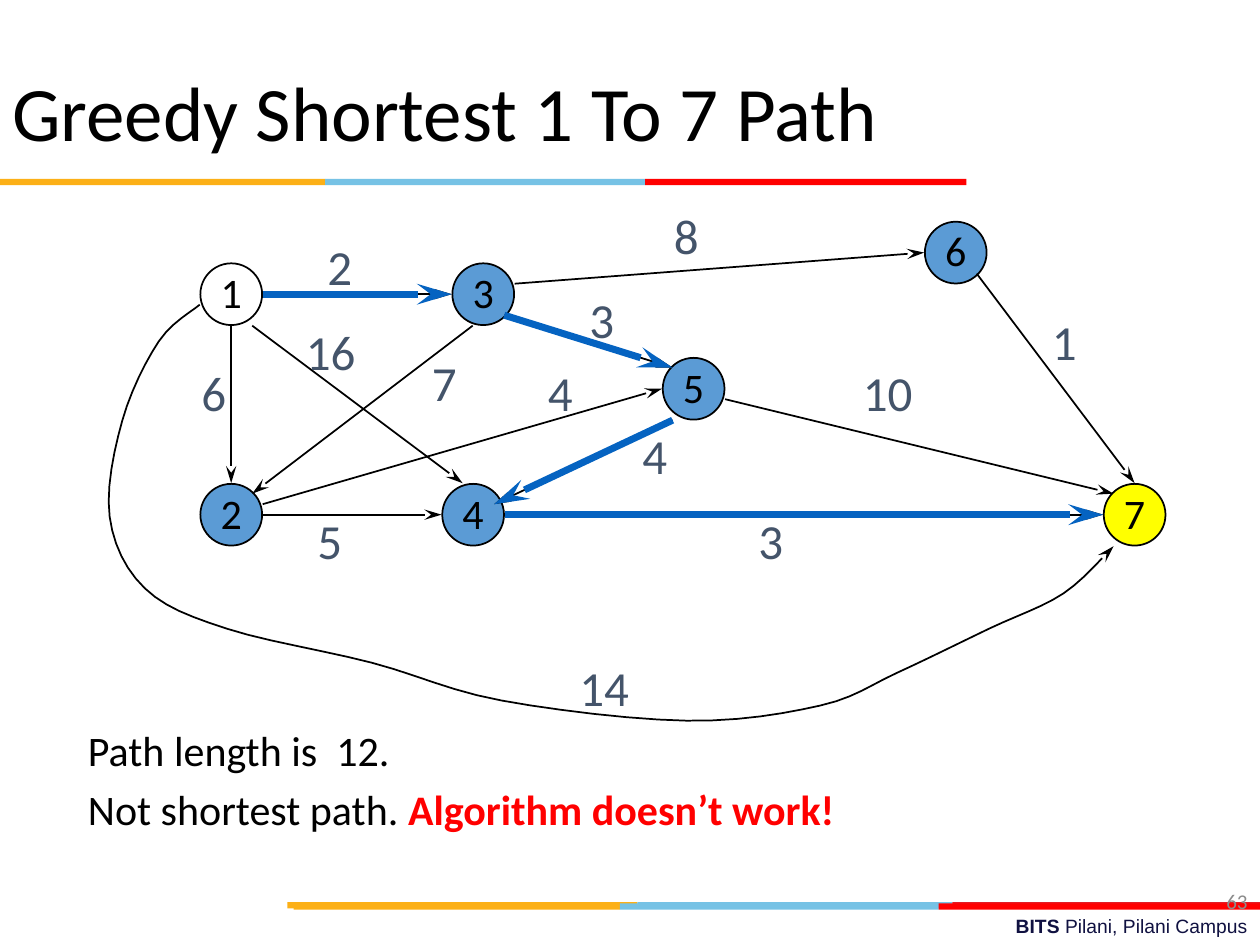
import pptx
import pptx.util
import pptx.enum.shapes
import pptx.enum.text
import pptx.dml.color
import pptx.oxml.ns
import lxml.etree

Inches = pptx.util.Inches
Pt = pptx.util.Pt
SHAPE = pptx.enum.shapes.MSO_SHAPE
ALIGN = pptx.enum.text.PP_ALIGN
ANCHOR = pptx.enum.text.MSO_ANCHOR

COLORS = {
    "black": "000000", "white": "FFFFFF", "node": "5B9BD5", "goal": "FFFF00",
    "path": "0563C1", "weight": "44546A", "gold": "FCB017", "sky": "76C2E5",
    "red": "FF0000", "brick": "E31C24", "navy": "101141", "gray": "8C8C8C",
}

# Left and top of each node; all but the first and the last share one fill
NODES = {
    "1": (1.59, 2.09), "2": (1.59, 3.84), "3": (3.59, 2.09), "4": (3.51, 3.84),
    "5": (5.26, 2.84), "6": (7.34, 1.76), "7": (8.76, 3.84),
}
FILLS = {"1": "white", "7": "goal"}

# Ports where edges meet a node: grid steps right and down from its centre
GRID = 1 / 12
PORTS = {
    "N": (0, -3), "E": (3, 0), "S": (0, 3), "W": (-3, 0),
    "NE": (2, -2), "SE": (2, 2), "NW": (-2, -2), "SW": (-2, 3),
    "ENE": (3, -1), "ESE": (3, 1), "WSW": (-3, 1),
    "SSE": (2, 3), "SSW": (-1, 3), "NNW": (-1, -3), "inner E": (2, -1),
}

# Edges: from node and port, to node and port, weight, left and top of the weight
EDGES = [
    ("6", "SE", "7", "N", "1", 8.25, 2.42),
    ("3", "ENE", "6", "W", "8", 5.25, 1.58),
    ("1", "S", "2", "N", "6", 1.5, 2.83),
    ("2", "E", "4", "W", "5", 2.42, 4),
    ("1", "SSE", "4", "NNW", "16", 2.33, 2.5),
    ("3", "SSW", "2", "NE", "7", 3.33, 2.75),
    ("2", "ENE", "5", "W", "4", 4.25, 2.83),
    ("5", "ESE", "7", "NW", "10", 6.75, 2.83),
]
GREEDY = [
    ("1", "E", "3", "W", "2", 2.5, 1.83),
    ("3", "SE", "5", "NW", "3", 4.58, 2.25),
    ("5", "SW", "4", "inner E", "4", 5, 3.33),
    ("4", "E", "7", "W", "3", 5.92, 4),
]

# The detour from node 1 to node 7 bends smoothly through these points
BENDS = [
    (1.26, 2.71), (0.97, 3.34), (0.87, 4.1), (1.15, 4.67), (1.8, 4.99), (2.95, 5.26),
    (3.98, 5.56), (5.45, 5.72), (6.51, 5.6), (7.12, 5.34), (7.85, 4.99), (8.44, 4.71),
]


def tint(name):
    return pptx.dml.color.RGBColor.from_string(COLORS[name])


def port(node, side):
    """Point on the rim of a node."""
    return tuple(corner + Board.node / 2 + step * GRID
                 for corner, step in zip(NODES[node], PORTS[side]))


def smooth(points, steps=6):
    """Points of a Catmull-Rom curve that passes through all the given points."""
    ends = [points[0], *points, points[-1]]
    curve = [points[0]]
    for quad in zip(ends, ends[1:], ends[2:], ends[3:]):
        for step in range(1, steps + 1):
            t = step / steps
            curve.append(tuple(
                b + t * (c - a) / 2
                + t ** 2 * (2 * a - 5 * b + 4 * c - d) / 2
                + t ** 3 * (3 * b - a - 3 * c + d) / 2
                for a, b, c, d in zip(*quad)))
    return curve


def write(frame, *paras, size=24, font="Calibri", color="black", align=ALIGN.LEFT,
          anchor=ANCHOR.TOP, space=0, lead=None):
    """Fill a frame; a paragraph is a list of (text, extra run format) pairs."""
    frame.word_wrap = True
    frame.vertical_anchor = anchor
    for i, runs in enumerate(paras):
        para = frame.add_paragraph() if i else frame.paragraphs[0]
        para.alignment = align
        para.line_spacing = lead
        para.space_before = Pt(space if i else 0)
        for text, extra in runs:
            run = para.add_run()
            run.text = text
            run.font.size = Pt(size)
            run.font.name = font
            run.font.bold = extra.get("bold", False)
            run.font.color.rgb = tint(extra.get("color", color))


class Board:
    """Holds the current slide and the style of its parts."""

    node, bar, thin, thick = 0.49, 0.05, 1, 4

    def __init__(self, slide):
        self.shapes = slide.shapes

    def text(self, left, top, width, height, *paras, **style):
        box = self.shapes.add_textbox(*map(Inches, (left, top, width, height)))
        write(box.text_frame, *paras, **style)

    def shape(self, kind, left, top, width, height, fill):
        item = self.shapes.add_shape(kind, *map(Inches, (left, top, width, height)))
        item.shadow.inherit = False
        item.fill.solid()
        item.fill.fore_color.rgb = tint(fill)
        item.line.fill.background()
        return item

    def stripe(self, top, stops, last="red"):
        """Three bars in a row, split at the given stops."""
        for left, right, fill in zip(stops, stops[1:], ("gold", "sky", last)):
            self.shape(SHAPE.RECTANGLE, left, top, right - left, self.bar, fill)

    def disc(self, name, left, top):
        fill = FILLS.get(name, "node")
        item = self.shape(SHAPE.OVAL, left, top, self.node, self.node, fill)
        item.line.color.rgb = tint("black")
        item.line.width = Pt(self.thin)
        frame = item.text_frame
        frame.margin_left = frame.margin_right = frame.margin_top = 0
        frame.margin_bottom = Inches(0.04)
        write(frame, [(name, {})], align=ALIGN.CENTER, anchor=ANCHOR.MIDDLE)

    def arrow(self, item, color, width):
        """Style a line and give it a long head."""
        item.line.color.rgb = tint(color)
        item.line.width = Pt(width)
        line = item.line._get_or_add_ln()
        lxml.etree.SubElement(line, pptx.oxml.ns.qn("a:tailEnd"), type="stealth", len="lg")

    def edge(self, start, end, color="black", width=thin):
        item = self.shapes.add_connector(pptx.enum.shapes.MSO_CONNECTOR.STRAIGHT,
                                         *map(Inches, start + end))
        self.arrow(item, color, width)
        lxml.etree.SubElement(item._element.spPr, pptx.oxml.ns.qn("a:effectLst"))

    def curve(self, points):
        first, *rest = [(Inches(x), Inches(y)) for x, y in smooth(points)]
        path = self.shapes.build_freeform(*first)
        path.add_line_segments(rest, close=False)
        item = path.convert_to_shape()
        item.fill.background()
        self.arrow(item, "black", self.thin)
        item.shadow.inherit = False

    def weight(self, text, left, top):
        width = 0.17 + 0.25 * len(text)
        self.text(left, top, width, 0.57, [(text, {})], size=28, color="weight")


def main():
    deck = pptx.Presentation()
    deck.slide_width, deck.slide_height = Inches(10), Inches(7.5)
    board = Board(deck.slides.add_slide(deck.slide_layouts[6]))

    # Footer
    board.text(3.58, 7.21, 6.42, 0.29,
               [("BITS ", {"bold": True}), ("Pilani, Pilani Campus", {})],
               size=11, font="Arial", color="navy", align=ALIGN.RIGHT)
    board.stripe(7.16, (2.28, 5.06, 7.56, 10), last="brick")
    board.stripe(7.17, (2.33, 4.92, 7.45, 10))
    board.text(7.67, 6.95, 2.33, 0.4, [("63", {})], size=12, color="gray",
               align=ALIGN.RIGHT, anchor=ANCHOR.MIDDLE)

    # Title
    board.stripe(1.42, (0, 2.58, 5.12, 7.67))
    board.text(0, 0.3, 9, 1.25, [("Greedy Shortest 1 To 7 Path", {})],
               size=44, anchor=ANCHOR.MIDDLE, lead=0.9)

    # Graph
    for name, place in NODES.items():
        board.disc(name, *place)
    for tail, leave, head, enter, *label in EDGES + GREEDY:
        board.edge(port(tail, leave), port(head, enter))
        board.weight(*label)
    board.curve([port("1", "WSW"), *BENDS, port("7", "SW")])
    board.weight("14", 4.5, 5.17)

    # Greedy path on top
    for tail, leave, head, enter, *label in GREEDY:
        board.edge(port(tail, leave), port(head, enter), "path", board.thick)

    # Verdict
    board.text(0.6, 5.7, 8.5, 1.25,
               [("Path length is  12.", {})],
               [("Not shortest path. ", {}),
                ("Algorithm doesn’t work!", {"bold": True, "color": "red"})],
               space=4.8)

    deck.save("out.pptx")


if __name__ == "__main__":
    main()
